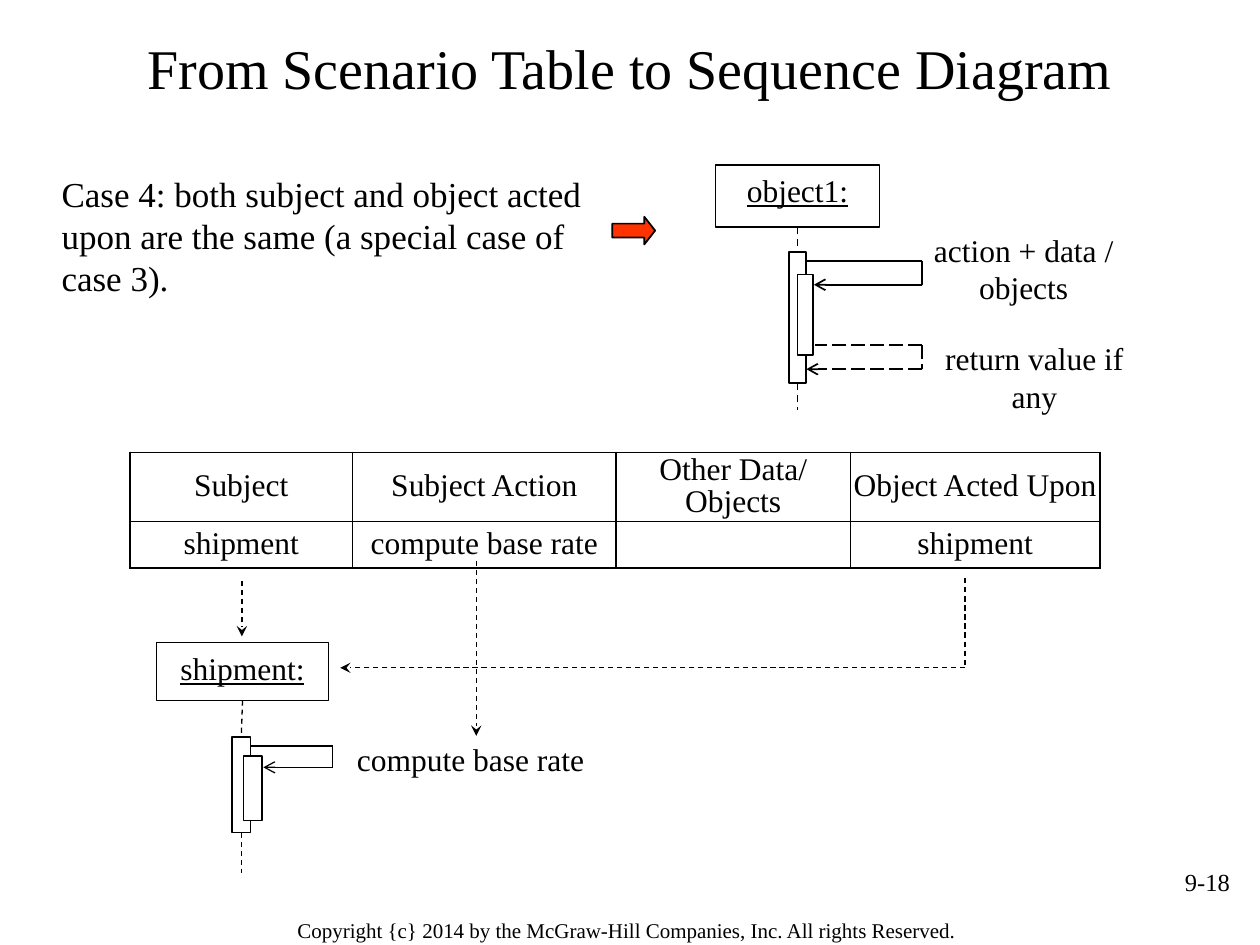
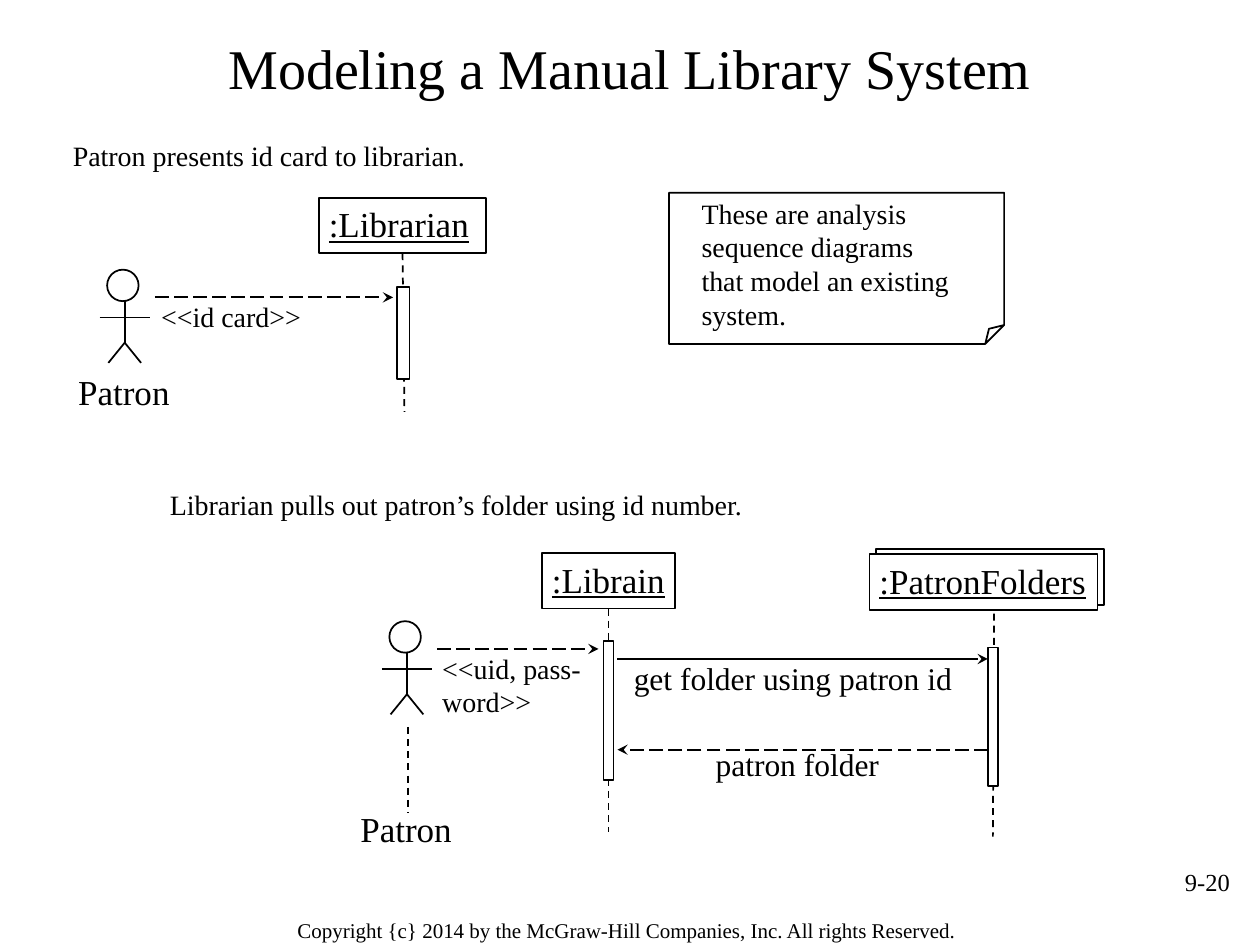
import pptx
import pptx.util
import pptx.dml.color
import pptx.enum.dml
import pptx.enum.shapes
import pptx.enum.text
import pptx.oxml
import pptx.oxml.ns
from lxml import etree

Inches, Pt = pptx.util.Inches, pptx.util.Pt
SHAPE = pptx.enum.shapes.MSO_SHAPE
DASH = pptx.enum.dml.MSO_LINE.DASH
LONG_DASH = pptx.enum.dml.MSO_LINE.LONG_DASH
ALIGN = pptx.enum.text.PP_ALIGN
ANCHOR = pptx.enum.text.MSO_ANCHOR
qn = pptx.oxml.ns.qn

BLACK = pptx.dml.color.RGBColor(0x00, 0x00, 0x00)
WHITE = pptx.dml.color.RGBColor(0xFF, 0xFF, 0xFF)
RED = pptx.dml.color.RGBColor(0xFF, 0x33, 0x00)
FONT = "Times New Roman"
FLUSH = (0, 0, 0, 0)
PADDED = (0.1, 0.05, 0.1, 0.05)
NAME_INSET = (0.08, 0.04, 0, 0)


def add_box(s, kind, at, text="", size=18, align=ALIGN.LEFT, inset=PADDED,
            fill=None, weight=1, underline=None):
    """Add a black-outlined preset shape, or a plain text box if kind is None."""
    at = [Inches(v) for v in at]
    if kind is None:
        sp = s.shapes.add_textbox(*at)
    else:
        sp = s.shapes.add_shape(kind, *at)
        sp.shadow.inherit = False
        sp.line.color.rgb = BLACK
        sp.line.width = Pt(weight)
        if fill is None:
            sp.fill.background()
        else:
            sp.fill.solid()
            sp.fill.fore_color.rgb = fill
    if text:
        tf = sp.text_frame
        tf.word_wrap = True
        tf.vertical_anchor = ANCHOR.TOP
        tf.margin_left, tf.margin_top, tf.margin_right, tf.margin_bottom = [
            Inches(v) for v in inset]
        p = tf.paragraphs[0]
        p.alignment = align
        r = p.add_run()
        r.text = text
        r.font.name = FONT
        r.font.size = Pt(size)
        r.font.color.rgb = BLACK
        r.font.underline = underline
    return sp


def add_line(s, x1, y1, x2, y2, weight=1, dash=None, head=None):
    """Add a black straight connector; head is the arrowhead type at its end."""
    cx = s.shapes.add_connector(pptx.enum.shapes.MSO_CONNECTOR.STRAIGHT,
                                Inches(x1), Inches(y1), Inches(x2), Inches(y2))
    cx.line.color.rgb = BLACK
    cx.line.width = Pt(weight)
    if dash is not None:
        cx.line.dash_style = dash
    if head:
        ln = cx._element.spPr.find(qn("a:ln"))
        etree.SubElement(ln, qn("a:tailEnd"), type=head)
    etree.SubElement(cx._element.spPr, qn("a:effectLst"))
    return cx


prs = pptx.Presentation()
prs.slide_width, prs.slide_height = Inches(10), Inches(7.5)
layout = prs.slide_layouts[5]

# Titles and page numbers
slides = []
for title, number in [("From Scenario Table to Sequence Diagram", "9-18"),
                      ("Modeling a Manual Library System", "9-20")]:
    s = prs.slides.add_slide(layout)
    sp = s.shapes.title
    sp.left, sp.top, sp.width, sp.height = [Inches(v) for v in (0.5, 0.14, 9, 0.78)]
    sp.text_frame.vertical_anchor = ANCHOR.MIDDLE
    p = sp.text_frame.paragraphs[0]
    p.alignment = ALIGN.CENTER
    r = p.add_run()
    r.text = title
    r.font.name = FONT
    r.font.size = Pt(32)
    r.font.color.rgb = BLACK
    add_box(s, None, (7.53, 6.83, 2.33, 0.52), number, 14, ALIGN.RIGHT)
    slides.append(s)

# The copyright line lives on the shared layout
footer = add_box(slides[0], None, (1.88, 7.22, 6.19, 0.31),
                 "Copyright {c} 2014 by the McGraw-Hill Companies, Inc. All rights Reserved.",
                 12, ALIGN.CENTER, (0.11, 0.06, 0.11, 0.06))
layout.shapes.element.append(footer._element)

# Slide 1: scenario table to sequence diagram
s = slides[0]
add_box(s, None, (0.39, 1.32, 4.63, 1.18),
        "Case 4: both subject and object acted upon are the same "
        "(a special case of case 3).", 20)
arrow = add_box(s, SHAPE.RIGHT_ARROW, (4.86, 1.72, 0.34, 0.22), fill=RED)
arrow.adjustments[0], arrow.adjustments[1] = 0.5, 0.39

rows = [["Subject", "Subject Action", "Other Data/ Objects", "Object Acted Upon"],
        ["shipment", "compute base rate", "", "shipment"]]
col_widths = [1.77, 2.09, 1.86, 1.98]
row_heights = [0.55, 0.37]
frame = s.shapes.add_table(2, 4, Inches(1.03), Inches(3.59),
                           Inches(sum(col_widths)), Inches(sum(row_heights)))
table = frame.table
table.first_row = table.horz_banding = False
for col, width in zip(table.columns, col_widths):
    col.width = Inches(width)
for row, height in zip(table.rows, row_heights):
    row.height = Inches(height)
for i, texts in enumerate(rows):
    for j, text in enumerate(texts):
        cell = table.cell(i, j)
        cell.margin_left = cell.margin_right = cell.margin_top = cell.margin_bottom = 0
        cell.vertical_anchor = ANCHOR.MIDDLE
        p = cell.text_frame.paragraphs[0]
        p.alignment = ALIGN.CENTER
        p.line_spacing = 0.9
        p.font.size = Pt(18)
        if text:
            r = p.add_run()
            r.text = text
            r.font.name = FONT
            r.font.size = Pt(18)
            r.font.color.rgb = BLACK
        outer = {"lnL": j == 0, "lnR": j == 3, "lnT": i == 0, "lnB": i == 1}
        for side, is_outer in outer.items():
            ln = etree.SubElement(cell._tc.get_or_add_tcPr(), qn("a:" + side),
                                  w=str(Pt(1 if is_outer else 0.75)))
            solid = etree.SubElement(ln, qn("a:solidFill"))
            etree.SubElement(solid, qn("a:srgbClr"), val=str(BLACK))
        cell.fill.background()

# Object, lifeline, nested activations and self call
for name, box_at, bar_at, inner_at, foot, call_right, call_top, call_bottom, weight in [
        ("object1:", (5.68, 1.31, 1.3, 0.49), (6.26, 2, 0.14, 1.04),
         (6.33, 2.18, 0.12, 0.64), 3.25, 7.32, 2.07, 2.26, 1),
        ("shipment:", (1.24, 5.1, 1.37, 0.46), (1.84, 5.85, 0.15, 0.76),
         (1.93, 6, 0.15, 0.51), 6.93, 2.64, 5.92, 6.09, 0.75)]:
    box = add_box(s, SHAPE.RECTANGLE, box_at, name, align=ALIGN.CENTER,
                  fill=WHITE, weight=weight, underline=True)
    bar = add_box(s, SHAPE.RECTANGLE, bar_at, fill=WHITE, weight=weight)
    add_box(s, SHAPE.RECTANGLE, inner_at, fill=WHITE, weight=weight)
    x = bar_at[0] + bar_at[2] / 2
    cx = add_line(s, x, box_at[1] + box_at[3], x, bar_at[1], weight, DASH)
    cx.begin_connect(box, 2)
    cx.end_connect(bar, 0)
    cx = add_line(s, x, bar_at[1] + bar_at[3], x, foot, weight, DASH)
    cx.begin_connect(bar, 2)
    add_line(s, bar_at[0] + bar_at[2], call_top, call_right, call_top, weight)
    add_line(s, call_right, call_top, call_right, call_bottom, weight)
    add_line(s, call_right, call_bottom, inner_at[0] + inner_at[2] + 0.01,
             call_bottom, weight, head="arrow")

add_line(s, 7.32, 2.74, 6.47, 2.74, dash=LONG_DASH)
add_line(s, 7.32, 2.74, 7.32, 2.93, dash=LONG_DASH)
add_line(s, 7.32, 2.93, 6.4, 2.93, dash=LONG_DASH, head="arrow")
add_box(s, None, (7.26, 1.83, 1.73, 0.62), "action + data / objects",
        align=ALIGN.CENTER, inset=FLUSH)
add_box(s, None, (7.31, 2.69, 1.8, 0.62), "return value if any",
        align=ALIGN.CENTER, inset=FLUSH)
add_box(s, None, (2.53, 5.82, 2.41, 0.41), "compute base rate", align=ALIGN.CENTER)

# Table cells mapped to the diagram
for x1, y1, x2, y2, head in [(1.92, 4.61, 1.92, 5.05, "stealth"),
                             (3.78, 4.45, 3.78, 5.84, "stealth"),
                             (7.66, 4.59, 7.66, 5.3, None),
                             (7.66, 5.3, 2.7, 5.3, "stealth")]:
    add_line(s, x1, y1, x2, y2, 0.75, DASH, head)

# Slide 2: library system
s = slides[1]
for at, text in [((0.48, 1.05, 3.4, 0.37), "Patron presents id card to librarian."),
                 ((1.25, 3.82, 4.85, 0.37),
                  "Librarian pulls out patron’s folder using id number.")]:
    add_box(s, None, at, text, 16)

# The folded corner's fold size has no public adjustment
note = add_box(s, SHAPE.FOLDED_CORNER, (5.31, 1.53, 2.66, 1.2))
for guides in note._element.iter(qn("a:avLst")):
    etree.SubElement(guides, qn("a:gd"), name="adj", fmla="val 12500")
add_box(s, None, (5.47, 1.51, 2.2, 1.17),
        "These are analysis sequence diagrams that model an existing system.", 16)

# Patron stick figures, placed by the top left of the head
for x, y, label_x, label_y in [(0.85, 2.14, 0.62, 2.94), (3.09, 4.93, 2.86, 6.41)]:
    add_box(s, SHAPE.OVAL, (x, y, 0.25, 0.25))
    neck = x + 0.14
    add_line(s, x - 0.06, y + 0.38, x + 0.34, y + 0.38)
    add_line(s, neck, y + 0.25, neck, y + 0.58)
    for foot in (neck - 0.13, neck + 0.13):
        add_line(s, neck, y + 0.58, foot, y + 0.74)
    add_box(s, None, (label_x, label_y, 0.8, 0.33), "Patron", 20, inset=FLUSH)
add_line(s, 3.24, 5.77, 3.24, 6.45, dash=DASH)

# Objects with lifelines and activation bars
add_box(s, SHAPE.RECTANGLE, (6.95, 4.36, 1.81, 0.44))
for name, box_at, lifeline, bar_at, centred in [
        (":Librarian", (2.53, 1.57, 1.33, 0.44), (3.21, 2.02, 3.21, 3.27),
         (3.15, 2.28, 0.1, 0.73), True),
        (":Librain", (4.3, 4.39, 1.06, 0.44), (4.85, 4.83, 4.83, 6.6),
         (4.79, 5.09, 0.08, 1.1), True),
        (":PatronFolders", (6.9, 4.4, 1.81, 0.44), (7.89, 4.87, 7.88, 6.64),
         (7.84, 5.14, 0.08, 1.1), False)]:
    box = add_box(s, SHAPE.RECTANGLE, box_at, name, 20, inset=NAME_INSET,
                  fill=WHITE, underline=True)
    cx = add_line(s, *lifeline, dash=DASH)
    if centred:
        cx.begin_connect(box, 2)
    add_box(s, SHAPE.RECTANGLE, bar_at, fill=WHITE)

# Messages
for x1, x2, y, dash in [(1.23, 3.12, 2.36, LONG_DASH), (3.47, 4.75, 5.15, LONG_DASH),
                        (4.9, 7.84, 5.23, None), (7.84, 4.9, 5.95, LONG_DASH)]:
    add_line(s, x1, y, x2, y, dash=dash, head="stealth")
for at, text, size in [((1.28, 2.38, 1.2, 0.27), "<<id card>>", 16),
                       ((3.51, 5.17, 1.26, 0.53), "<<uid, pass-word>>", 16),
                       ((5.03, 5.23, 2.65, 0.3), "get folder using patron id", 18),
                       ((5.68, 5.91, 1.4, 0.3), "patron folder", 18)]:
    add_box(s, None, at, text, size, inset=FLUSH)

prs.save("out.pptx")
